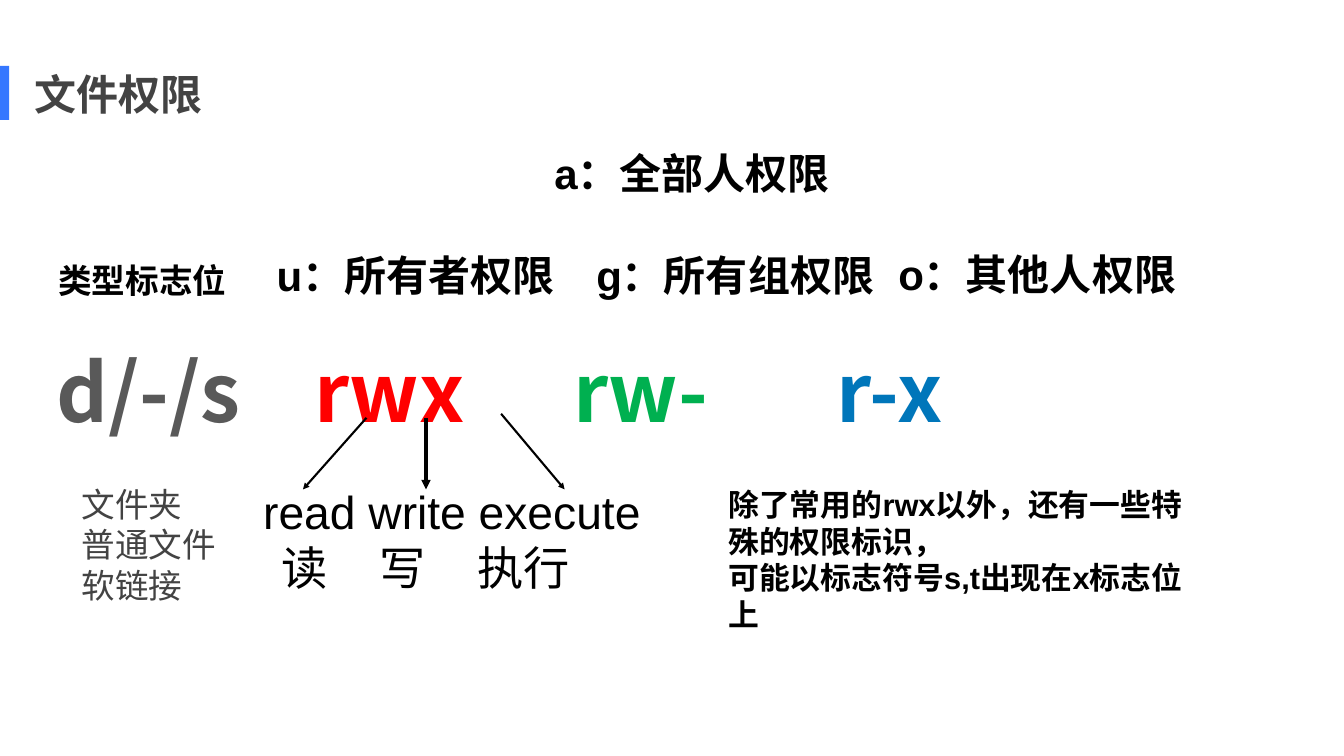
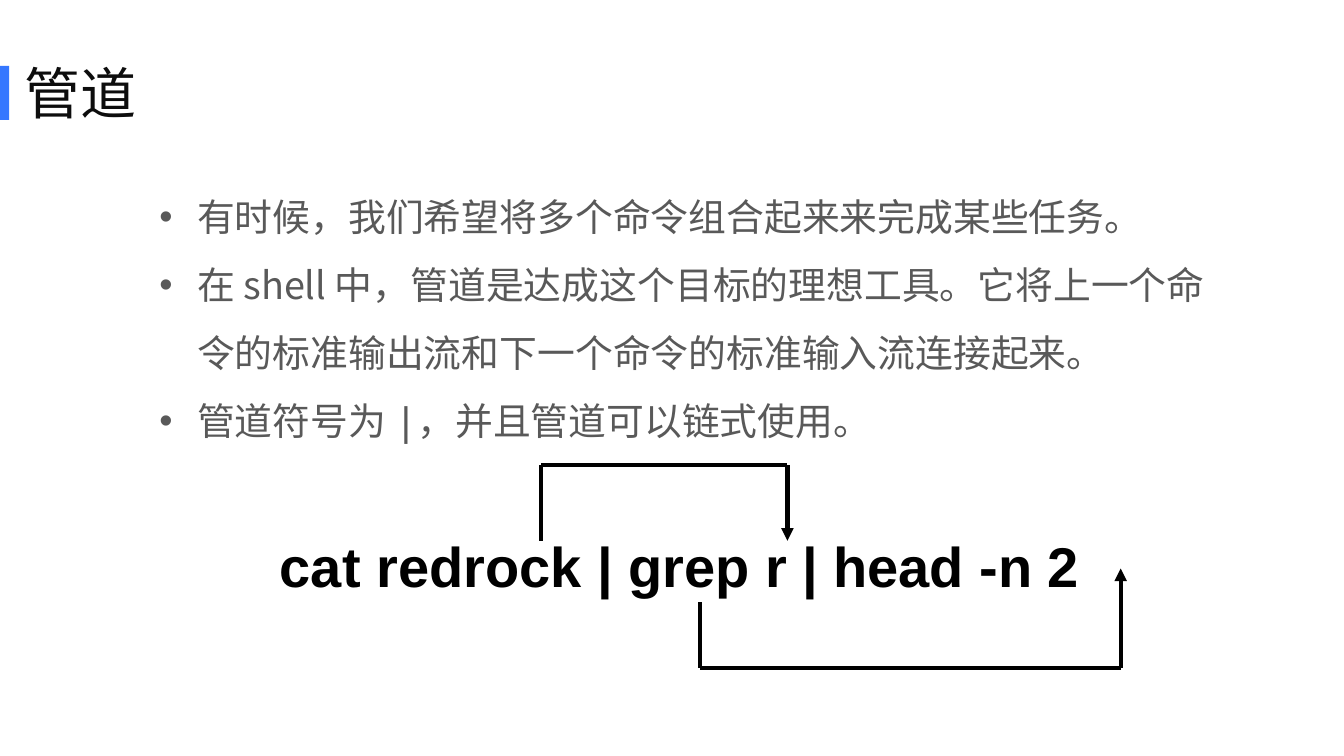
from lxml import etree
from pptx import Presentation
from pptx import util as u
from pptx.dml.color import RGBColor
from pptx.enum import shapes, text
from pptx.oxml import ns

CJK = "Noto Sans CJK SC"
BLACK, DARK, GREY, BLUE = "000000", "434343", "595959", "3577FF"


def write(shape, paragraphs, size, colour=BLACK, bold=False, font="Arial",
          insets=(0.1, 0.05), wrap=True, tabs=(), hanging=0, spacing=1.0):
    frame = shape.text_frame
    frame.word_wrap = wrap
    frame.margin_left = u.Inches(insets[0])
    frame.margin_right = u.Inches(min(insets[0], 0.1))
    frame.margin_top = frame.margin_bottom = u.Inches(insets[1])
    for number, runs in enumerate(paragraphs):
        paragraph = frame.paragraphs[0] if number == 0 else frame.add_paragraph()
        properties = paragraph._p.get_or_add_pPr()
        if hanging:
            properties.set("marL", str(u.Inches(hanging)))
            properties.set("indent", str(-u.Inches(hanging)))
        if tabs:
            tab_list = etree.SubElement(properties, ns.qn("a:tabLst"))
            for stop in tabs:
                etree.SubElement(tab_list, ns.qn("a:tab"), pos=str(u.Inches(stop)), algn="l")
        paragraph.alignment = text.PP_ALIGN.LEFT
        paragraph.line_spacing = spacing
        paragraph.space_before = u.Pt(0)
        for words, changes in runs:
            run = paragraph.add_run()
            run.text = words
            run.font.size = u.Pt(size)
            run.font.bold = bold
            run.font.name = changes.get("font", font)
            run.font.color.rgb = RGBColor.from_string(changes.get("colour", colour))
            east_asian = etree.Element(ns.qn("a:ea"), typeface=CJK)
            run.font._element.find(ns.qn("a:latin")).addnext(east_asian)


def draw_line(slide, start, end, width, arrow):
    line = slide.shapes.add_connector(shapes.MSO_CONNECTOR.STRAIGHT,
                                      *[u.Inches(value) for value in (*start, *end)])
    line.line.color.rgb = RGBColor.from_string(BLACK)
    line.line.width = u.Pt(width)
    if arrow:
        etree.SubElement(line.line._get_or_add_ln(), ns.qn("a:tailEnd"), type="triangle")
    etree.SubElement(line._element.spPr, ns.qn("a:effectLst"))


presentation = Presentation()
presentation.slide_width = u.Inches(26.66)
presentation.slide_height = u.Inches(15)
permissions = presentation.slides.add_slide(presentation.slide_layouts[5])
pipes = presentation.slides.add_slide(presentation.slide_layouts[1])

bar = permissions.shapes.add_shape(shapes.MSO_SHAPE.RECTANGLE, u.Inches(-0.06), u.Inches(1.31),
                                   u.Inches(0.24), u.Inches(1.07))
bar.shadow.inherit = False
bar.fill.solid()
bar.fill.fore_color.rgb = RGBColor.from_string(BLUE)
bar.line.fill.background()
presentation.slide_master.shapes._spTree.append(bar._element)

body = pipes.placeholders[1]
placeholders = [
    (permissions.shapes.title, (0.58, 1.3, 5.91, 1.1), text.MSO_ANCHOR.TOP),
    (pipes.shapes.title, (0.42, 0.73, 14.65, 2.19), text.MSO_ANCHOR.MIDDLE),
    (body, (3.1, 3.33, 21.4, 11.11), text.MSO_ANCHOR.TOP),
]
for placeholder, place, anchor in placeholders:
    placeholder.left, placeholder.top, placeholder.width, placeholder.height = map(u.Inches, place)
    placeholder.text_frame.auto_size = text.MSO_AUTO_SIZE.NONE
    placeholder.text_frame.vertical_anchor = anchor

write(permissions.shapes.title, [[("文件权限", {})]], 60, DARK, True)
write(pipes.shapes.title, [[("管道", {})]], 80, "0D0D0D", font=CJK, insets=(0.06, 0.06))
write(body, [
    [("有时候，我们希望将多个命令组合起来来完成某些任务。", {})],
    [("在 shell 中，管道是达成这个目标的理想工具。"
      "它将上一个命令的标准输出流和下一个命令的标准输入流连接起来。", {})],
    [("管道符号为 ", {}), ("|", {"font": "DejaVu Sans Mono"}), ("，并且管道可以链式使用。", {})],
], 54, GREY, font=CJK, insets=(0.06, 0.06), hanging=0.75, spacing=1.5)

mode_runs = [("d/-/s", {}), ("\trwx", {"colour": "FF0000"}),
             ("\trw-", {"colour": "00B050"}), ("\tr-x", {"colour": "0076BA"})]
heading = {"size": 60, "bold": True, "wrap": False}
text_boxes = [
    (permissions, (1.06, 5.77, 23.43, 2.27), [mode_runs],
     {"size": 115, "colour": GREY, "bold": True, "font": CJK, "insets": (0.06, 0.06),
      "tabs": (5.11, 10.25, 15.48), "spacing": 1.5}),
    (permissions, (10.9, 2.88, 6.1, 1.1), [[("a：全部人权限", {})]], heading),
    (permissions, (5.39, 4.9, 5.91, 1.1), [[("u：所有者权限", {})]], heading),
    (permissions, (11.73, 4.9, 5.91, 1.1), [[("g：所有组权限", {})]], heading),
    (permissions, (17.72, 4.89, 5.91, 1.1), [[("o：其他人权限", {})]], heading),
    (permissions, (4.87, 9.55, 7.94, 2.3),
     [[("read write execute", {})], [("\t读\t写\t执行", {})]],
     {"size": 66, "insets": (0.35, 0.05), "tabs": (0.36, 2.31, 4.25)}),
    (permissions, (1.06, 5.1, 4.1, 0.9), [[("类型标志位", {})]], {"size": 48, "bold": True}),
    (permissions, (1.52, 9.55, 2.99, 2.5), [[("文件夹", {})], [("普通文件软链接", {})]],
     {"size": 48, "colour": DARK}),
    (permissions, (14.35, 9.58, 9.57, 3.04),
     [[("除了常用的rwx以外，还有一些特殊的权限标识，", {})],
      [("可能以标志符号s,t出现在x标志位上", {})]], {"size": 44, "bold": True}),
    (pipes, (5.14, 10.49, 17.48, 1.44), [[("cat redrock | grep r | head -n 2", {})]],
     {"size": 80, "bold": True, "insets": (0.41, 0.05)}),
]
for slide, place, paragraphs, style in text_boxes:
    box = slide.shapes.add_textbox(*map(u.Inches, place))
    write(box, paragraphs, **style)

for start, end, width in [((7.27, 8.29), (6.01, 9.71), 3),
                          ((8.45, 8.29), (8.45, 9.71), 4.5),
                          ((9.94, 8.21), (11.2, 9.71), 3)]:
    draw_line(permissions, start, end, width, True)

for left, right, level, source, target in [(10.73, 15.62, 9.23, 10.73, 10.73),
                                           (13.89, 22.23, 13.25, 11.94, 11.28)]:
    draw_line(pipes, (left, level), (left, source), 6, False)
    draw_line(pipes, (right, level), (left, level), 6, False)
    draw_line(pipes, (right, level), (right, target), 6, True)

presentation.save("out.pptx")
